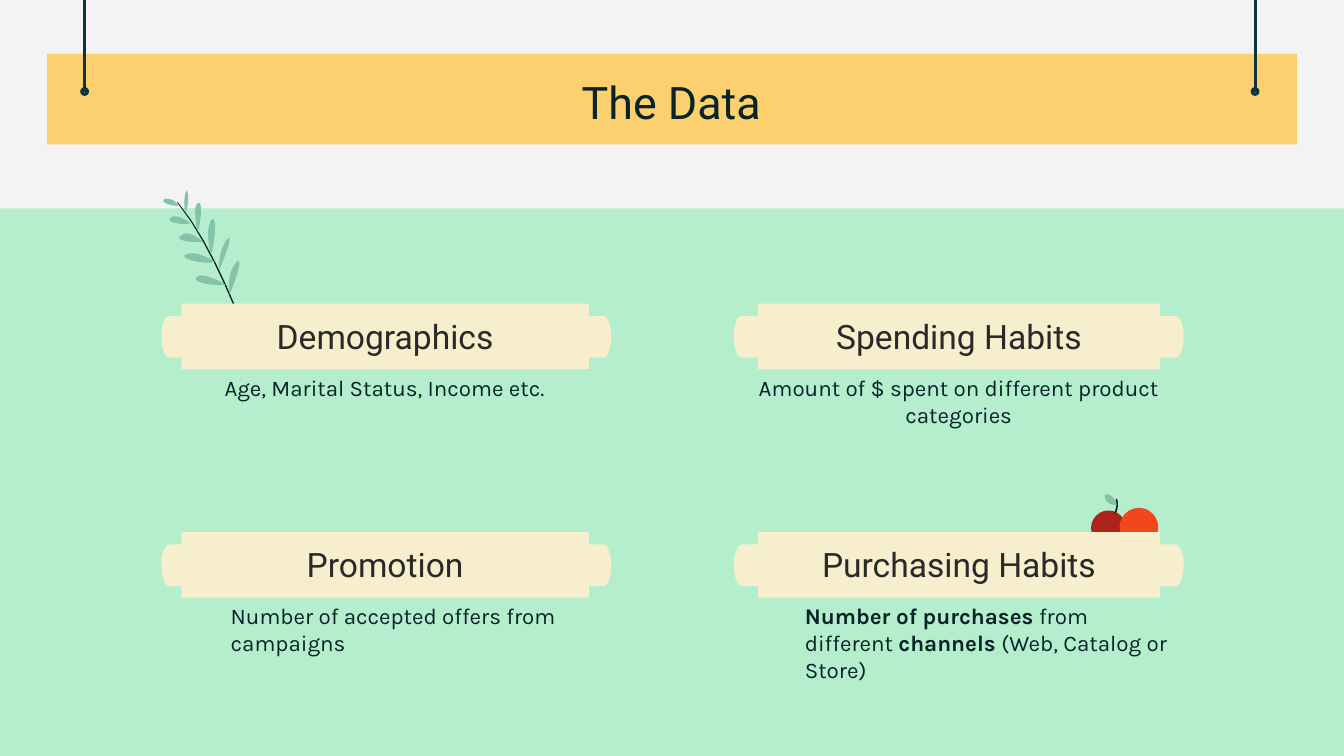
from lxml.etree import SubElement
from pptx import Presentation
from pptx.dml.color import RGBColor
from pptx.enum.shapes import MSO_CONNECTOR, MSO_SHAPE
from pptx.enum.text import MSO_ANCHOR, MSO_AUTO_SIZE, PP_ALIGN
from pptx.oxml.ns import qn
from pptx.util import Cm, Pt

PAPER = RGBColor(0xF3, 0xF3, 0xF3)
MINT = RGBColor(0xB5, 0xEE, 0xCC)
CREAM = RGBColor(0xF7, 0xEE, 0xCE)
AMBER = RGBColor(0xFC, 0xD0, 0x6F)
PETROL = RGBColor(0x0C, 0x34, 0x3D)
INK = RGBColor(0x09, 0x23, 0x29)
CHARCOAL = RGBColor(0x2A, 0x29, 0x29)
SAGE = RGBColor(0x83, 0xC3, 0xA9)
CRIMSON = RGBColor(0xAD, 0x24, 0x1B)
ORANGE = RGBColor(0xF1, 0x47, 0x1D)

DRAWING_UNIT = Cm(2.54) / 100
CURVE_STEPS = 8

SPRIG_STEM = [(132, 151), (159, 184), (182, 248), (182, 249), (182, 249), (183, 249),
              (183, 249), (183, 248), (160, 183), (132, 150)]
SPRIG_LEAVES = [
    [(177, 194), (177, 194), (176, 194), (176, 195), (168, 204), (171, 219), (171, 219),
     (171, 219), (182, 192), (177, 194)],
    [(170, 177), (170, 177), (170, 177), (169, 178), (162, 187), (163, 201), (163, 201),
     (163, 201), (174, 176), (170, 177)],
    [(158, 163), (158, 163), (158, 163), (157, 164), (152, 173), (157, 189), (157, 189),
     (159, 186), (162, 162), (158, 163)],
    [(148, 151), (148, 151), (148, 151), (147, 151), (143, 155), (147, 172), (147, 172),
     (149, 170), (151, 150), (148, 151)],
    [(139, 142), (139, 142), (138, 143), (138, 144), (136, 152), (138, 158), (138, 158),
     (141, 153), (140, 142), (139, 142)],
    [(123, 148), (117, 150), (129, 154), (133, 153), (133, 153), (129, 147), (123, 148)],
    [(128, 161), (128, 162), (127, 162), (127, 162), (122, 165), (136, 168), (142, 166),
     (142, 166), (134, 160), (128, 161)],
    [(136, 175), (129, 177), (136, 181), (151, 180), (151, 180), (143, 172), (136, 174)],
    [(139, 189), (131, 192), (150, 197), (160, 195), (160, 195), (147, 186), (139, 189)],
    [(147, 206), (141, 208), (152, 213), (168, 212), (168, 212), (156, 204), (148, 205)],
]
FRUIT_STEM = [(830, 372), (832, 376), (829, 382), (829, 382), (829, 382), (830, 382),
              (830, 382), (831, 382), (833, 375), (831, 371)]
FRUIT_LEAF = [(822, 368), (821, 376), (831, 376), (831, 376), (831, 376), (828, 366), (822, 368)]

FRAME = {"word_wrap": True, "auto_size": MSO_AUTO_SIZE.NONE, "margin_left": Cm(0.25),
         "margin_right": Cm(0.25), "margin_top": Cm(0.25), "margin_bottom": Cm(0.25)}
TITLE_FONT = {"name": "Roboto", "size": Pt(24)}
HEADING_FONT = {"name": "Roboto", "size": Pt(18)}
DETAIL_FONT = {"name": "Karla", "size": Pt(12)}


def apply(target, values):
    """Set each named attribute of the target."""
    for name, value in values.items():
        setattr(target, name, value)


def flatten(curve):
    """Turn chained cubic Bézier points into points along the outline."""
    outline = [curve[0]]
    for first in range(0, len(curve) - 1, 3):
        controls = curve[first:first + 4]
        for step in range(1, CURVE_STEPS + 1):
            t = step / CURVE_STEPS
            weights = ((1 - t) ** 3, 3 * t * (1 - t) ** 2, 3 * t ** 2 * (1 - t), t ** 3)
            outline.append(tuple(sum(w * point[axis] for w, point in zip(weights, controls))
                                 for axis in (0, 1)))
    return [(x * DRAWING_UNIT, y * DRAWING_UNIT) for x, y in outline]


class Board:
    """Holds the style and the current slide, and draws each kind of element."""

    def __init__(self, slide):
        """Start on a slide with a paper background."""
        self.slide = slide
        slide.background.fill.solid()
        slide.background.fill.fore_color.rgb = PAPER

    def finish(self, shape, fill):
        """Give a shape a flat fill without line or shadow."""
        shape.shadow.inherit = False
        shape.fill.solid()
        shape.fill.fore_color.rgb = fill
        shape.line.fill.background()
        return shape

    def block(self, kind, left, top, width, height, fill):
        """Add a preset shape."""
        return self.finish(self.slide.shapes.add_shape(
            kind, Cm(left), Cm(top), Cm(width), Cm(height)), fill)

    def curved(self, curve, fill):
        """Add a closed curved outline."""
        start, *rest = flatten(curve)
        builder = self.slide.shapes.build_freeform(*start)
        builder.add_line_segments(rest, close=True)
        self.finish(builder.convert_to_shape(), fill)

    def pin(self, x):
        """Hang a string with a ring at its end."""
        string = self.slide.shapes.add_connector(
            MSO_CONNECTOR.STRAIGHT, Cm(x), Cm(0), Cm(x), Cm(1.73))
        SubElement(string.element.spPr, qn("a:effectLst"))
        ring = self.block(MSO_SHAPE.DONUT, x - 0.07, 1.66, 0.14, 0.14, PETROL)
        for line, width in ((string.line, 1.5), (ring.line, 0.75)):
            line.color.rgb = PETROL
            line.width = Pt(width)

    def letter(self, shape, runs, font, color, align, anchor, indent=0):
        """Fill a shape with one paragraph of (text, bold) runs."""
        frame = shape.text_frame
        apply(frame, {**FRAME, "vertical_anchor": anchor})
        paragraph = frame.paragraphs[0]
        properties = paragraph._p.get_or_add_pPr()
        properties.set("marL", str(Cm(indent)))
        properties.set("indent", "0")
        SubElement(properties, qn("a:buNone"))
        apply(paragraph, {"alignment": align, "space_before": Pt(0)})
        for text, bold in runs:
            run = paragraph.add_run()
            run.text = text
            apply(run.font, {**font, "bold": bold})
            run.font.color.rgb = color

    def placeholder(self, index, left, top, width, height):
        """Move a placeholder into place, above what is already drawn."""
        holder = self.slide.placeholders[index]
        apply(holder, {"left": Cm(left), "top": Cm(top), "width": Cm(width), "height": Cm(height)})
        holder.element.getparent().append(holder.element)
        return holder

    def plaque(self, left, top, width, tab_left, heading):
        """Add a heading plaque with a rounded tab at each end."""
        for x, turn in ((tab_left, 0), (tab_left + 7.59, 180)):
            tab = self.block(MSO_SHAPE.FLOWCHART_STORED_DATA, x, top + 0.23, 0.91, 0.79, CREAM)
            tab.rotation = turn
        plate = self.block(MSO_SHAPE.RECTANGLE, left, top, width, 1.24, CREAM)
        self.letter(plate, [(heading, False)], HEADING_FONT, CHARCOAL,
                    PP_ALIGN.CENTER, MSO_ANCHOR.BOTTOM)


def main():
    """Build the slide and save it."""
    deck = Presentation()
    apply(deck, {"slide_width": Cm(25.4), "slide_height": Cm(14.29)})
    board = Board(deck.slides.add_slide(deck.slide_layouts.get_by_name("Comparison")))

    board.block(MSO_SHAPE.RECTANGLE, -0.08, 3.94, 25.53, 10.35, MINT)
    board.block(MSO_SHAPE.RECTANGLE, 0.89, 1.02, 23.62, 1.71, AMBER)
    for x in (1.6, 23.72):
        board.pin(x)
    board.curved(SPRIG_STEM, INK)
    for leaf in SPRIG_LEAVES:
        board.curved(leaf, SAGE)
    for left, top, size, fill in ((20.62, 9.65, 0.66, CRIMSON), (21.16, 9.6, 0.73, ORANGE)):
        board.block(MSO_SHAPE.OVAL, left, top, size, size, fill)
    board.curved(FRUIT_STEM, INK)
    board.curved(FRUIT_LEAF, SAGE)

    columns = [(3.43, 7.7, 3.05, 2.84), (14.33, 7.59, 13.87, 13.69)]
    rows = [(5.74, PP_ALIGN.CENTER, 0), (10.06, PP_ALIGN.LEFT, 1.27)]
    topics = [
        ("Demographics", [("Age, Marital Status, Income etc.", False)]),
        ("Spending Habits", [("Amount of $ spent on different product categories", False)]),
        ("Promotion", [("Number of accepted offers from campaigns", False)]),
        ("Purchasing Habits", [("Number of purchases", True), (" from different ", False),
                               ("channels ", True), ("(Web, Catalog or Store)", False)]),
    ]
    for number, (heading, details) in enumerate(topics):
        row, column = divmod(number, 2)
        top, align, indent = rows[row]
        left, width, tab_left, detail_left = columns[column]
        board.plaque(left, top, width, tab_left, heading)
        detail = board.placeholder(number + 1, detail_left, top + 1.08, 8.86, 1.32)
        board.letter(detail, details, DETAIL_FONT, INK, align, MSO_ANCHOR.TOP, indent)

    title = board.placeholder(0, 3.81, 1.17, 17.75, 1.6)
    board.letter(title, [("The Data", False)], TITLE_FONT, INK, PP_ALIGN.CENTER, MSO_ANCHOR.TOP)
    deck.save("out.pptx")


if __name__ == "__main__":
    main()
